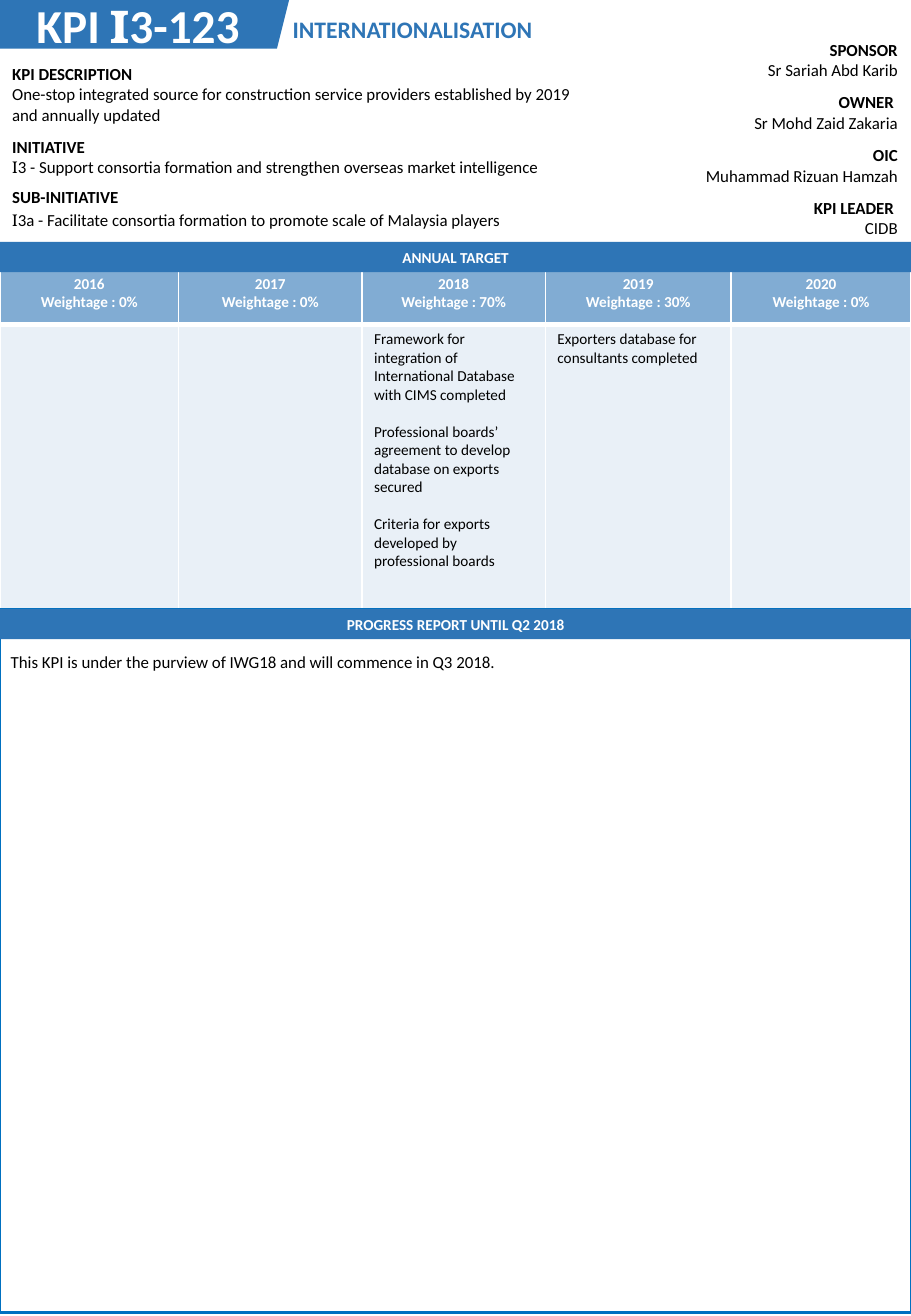
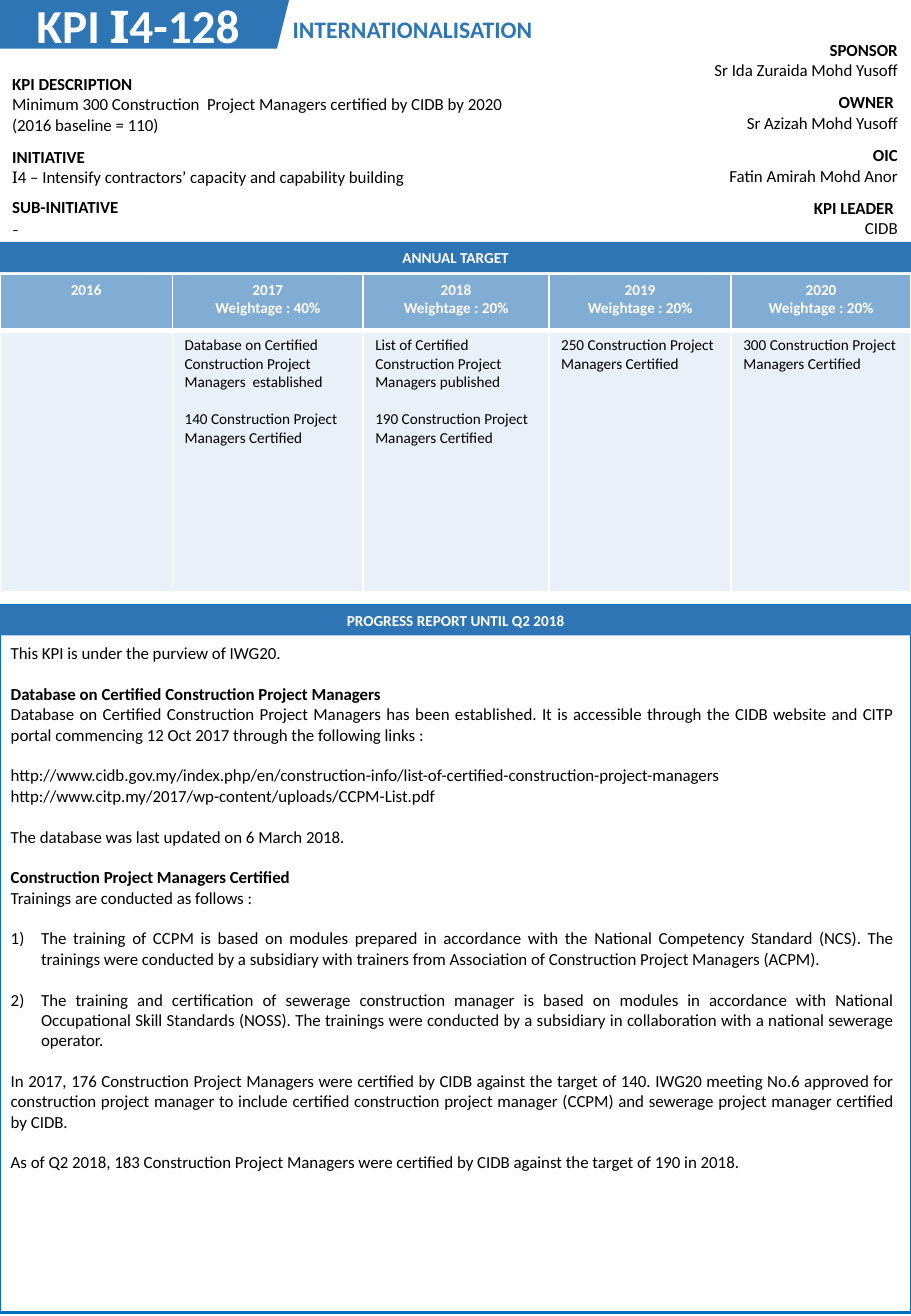
from dataclasses import dataclass
from typing import Any, NamedTuple, Optional

from lxml import etree
from pptx import Presentation, util as u
from pptx.dml import color
from pptx.enum import shapes, text
from pptx.oxml import ns

BLUE, FRAME_BLUE, WHITE, BLACK = "2E75B6", "0070C0", "FFFFFF", "000000"
BODY_FONT, NUMERAL_FONT = "Calibri", "TeX Gyre Bonum"
PAGE_WIDTH, PAGE_HEIGHT, FRAME_BOTTOM = 7.5, 10.83, 10.8
BAND_HEIGHT, ANNUAL_TOP = 0.25, 1.99
LEFT, CENTER = text.PP_ALIGN.LEFT, text.PP_ALIGN.CENTER
RIGHT, JUSTIFY = text.PP_ALIGN.RIGHT, text.PP_ALIGN.JUSTIFY


class Box(NamedTuple):
    left: float
    top: float
    width: float
    height: float

    def lengths(self) -> list[u.Length]:
        return [u.Inches(value) for value in self]


class Run(NamedTuple):
    text: str
    font: str = BODY_FONT


class Style(NamedTuple):
    size: float
    color: str = BLACK
    bold: bool = False
    align: Any = LEFT


@dataclass
class Line:
    """One paragraph; gap asks for an empty line's height above it."""
    runs: list[Run]
    bold: Optional[bool] = None
    gap: bool = False
    numbered: bool = False
    spacing: Optional[float] = None


@dataclass
class Year:
    label: str
    weightage: str
    targets: list[str]
    width: float


@dataclass
class Kpi:
    number: str
    people: list[str]
    description: str
    initiative: Line
    sub_initiative: Line
    details_top: float
    details_width: float
    years: list[Year]
    targets_top: float
    target_height: float
    progress_top: float
    report_top: float
    report: list[Line]


TITLE = Style(28, WHITE, True)
THEME = Style(14, BLUE, True)
BAND = Style(9, WHITE, True, CENTER)
TARGET = Style(9)
DETAIL = Style(10)
PERSON = Style(10, align=RIGHT)
REPORT = Style(10, align=JUSTIFY)
ROLES = ["SPONSOR", "OWNER ", "OIC", "KPI LEADER "]


def rgb(value: str) -> color.RGBColor:
    return color.RGBColor.from_string(value)


def line(words: str, **options: Any) -> Line:
    return Line([Run(words)], **options)


def numeral_line(words: str, **options: Any) -> Line:
    """Set the first letter in the numeral font."""
    return Line([Run(words[0], NUMERAL_FONT), Run(words[1:])], **options)


def number_paragraph(paragraph: Any) -> None:
    properties = paragraph._p.get_or_add_pPr()
    for name, inches in {"marL": 0.25, "indent": -0.25}.items():
        properties.set(name, str(u.Inches(inches)))
    etree.SubElement(properties, ns.qn("a:buFont"), typeface="+mj-lt")
    etree.SubElement(properties, ns.qn("a:buAutoNum"), type="arabicParenR")


def write(frame: Any, lines: list[Line], style: Style) -> None:
    frame.word_wrap = True
    for index, item in enumerate(lines):
        paragraph = frame.paragraphs[0] if index == 0 else frame.add_paragraph()
        if item.numbered:
            number_paragraph(paragraph)
        paragraph.alignment = style.align
        if item.gap:
            paragraph.space_before = u.Pt(round(style.size * 1.22, 1))
        if item.spacing:
            paragraph.line_spacing = item.spacing
        for part in item.runs:
            run = paragraph.add_run()
            run.text = part.text
            formats = {
                "name": part.font,
                "size": u.Pt(style.size),
                "bold": style.bold if item.bold is None else item.bold,
            }
            for name, value in formats.items():
                setattr(run.font, name, value)
            run.font.color.rgb = rgb(style.color)


def add_text(slide: Any, box: Box, lines: list[Line], style: Style) -> None:
    write(slide.shapes.add_textbox(*box.lengths()).text_frame, lines, style)


def add_block(slide: Any, kind: Any, box: Box, fill: Optional[str] = BLUE,
              outline: Optional[str] = None) -> Any:
    shape = slide.shapes.add_shape(kind, *box.lengths())
    shape.shadow.inherit = False
    if fill:
        shape.fill.solid()
        shape.fill.fore_color.rgb = rgb(fill)
    else:
        shape.fill.background()
    if outline:
        shape.line.color.rgb = rgb(outline)
        shape.line.width = u.Pt(1.5)
    else:
        shape.line.fill.background()
    return shape


def add_band(slide: Any, top: float, label: str) -> None:
    box = Box(0, top, PAGE_WIDTH, BAND_HEIGHT)
    band = add_block(slide, shapes.MSO_SHAPE.RECTANGLE, box)
    band.text_frame.vertical_anchor = text.MSO_ANCHOR.MIDDLE
    write(band.text_frame, [line(label)], BAND)


def add_table(slide: Any, left: float, top: float, widths: list[float],
              heights: list[float]) -> Any:
    box = Box(left, top, sum(widths), sum(heights))
    table = slide.shapes.add_table(len(heights), len(widths), *box.lengths()).table
    table.first_row = table.horz_banding = False
    for column, width in zip(table.columns, widths):
        column.width = u.Inches(width)
    for row, height in zip(table.rows, heights):
        row.height = u.Inches(height)
    for cell in table.iter_cells():
        cell.fill.background()
    return table


def tint_cell(cell: Any, opacity: int, borders: dict[str, float]) -> None:
    """Give a cell white borders (points by side) and a see-through blue fill."""
    properties = cell._tc.get_or_add_tcPr()
    for index, (side, points) in enumerate(borders.items()):
        border = etree.Element(ns.qn(f"a:ln{side}"), w=str(u.Pt(points)))
        fill = etree.SubElement(border, ns.qn("a:solidFill"))
        etree.SubElement(fill, ns.qn("a:srgbClr"), val=WHITE)
        properties.insert(index, border)
    cell.fill.solid()
    cell.fill.fore_color.rgb = rgb(BLUE)
    tint = properties.find(ns.qn("a:solidFill"))[0]
    etree.SubElement(tint, ns.qn("a:alpha"), val=str(opacity * 1000))


def add_targets(slide: Any, kpi: Kpi) -> None:
    table = add_table(slide, 0, kpi.targets_top, [year.width for year in kpi.years],
                      [0.46, kpi.target_height])
    for column, year in enumerate(kpi.years):
        header, body = table.cell(0, column), table.cell(1, column)
        tint_cell(header, 60, {"L": 1, "R": 1, "T": 1, "B": 3})
        tint_cell(body, 10, {"L": 1, "R": 1, "T": 3, "B": 1})
        heading = [line(year.label)]
        if year.weightage:
            heading.append(line(f"Weightage : {year.weightage}"))
        write(header.text_frame, heading, BAND)
        targets = [line(target, gap=index > 0)
                   for index, target in enumerate(year.targets)]
        write(body.text_frame, targets, TARGET)


def add_labelled_rows(slide: Any, box: Box, heights: list[float],
                      rows: list[tuple[str, Line]], style: Style) -> None:
    table = add_table(slide, box.left, box.top, [box.width], heights)
    for index, (label, content) in enumerate(rows):
        write(table.cell(index, 0).text_frame, [line(label, bold=True), content], style)


def add_title(slide: Any, number: str) -> None:
    title = slide.shapes.title
    box = Box(0.2, -0.08, 2.24, 0.57)
    for name, value in zip(box._fields, box.lengths()):
        setattr(title, name, value)
    title.text_frame.auto_size = text.MSO_AUTO_SIZE.NONE
    title.text_frame.vertical_anchor = text.MSO_ANCHOR.TOP
    runs = [Run("KPI "), Run(number[0], NUMERAL_FONT), Run(number[1:])]
    write(title.text_frame, [Line(runs)], TITLE)
    slide.shapes.element.append(title.element)


def add_kpi_slide(presentation: Any, kpi: Kpi) -> None:
    slide = presentation.slides.add_slide(presentation.slide_layouts[5])
    add_block(slide, shapes.MSO_SHAPE.PARALLELOGRAM, Box(-0.16, 0, 2.54, 0.4))
    add_title(slide, kpi.number)
    add_text(slide, Box(2.31, 0.07, 2.29, 0.34), [line("INTERNATIONALISATION")], THEME)
    add_targets(slide, kpi)
    frame = Box(0, kpi.progress_top, PAGE_WIDTH, FRAME_BOTTOM - kpi.progress_top)
    add_block(slide, shapes.MSO_SHAPE.RECTANGLE, frame, None, FRAME_BLUE)
    people = [(role, line(person)) for role, person in zip(ROLES, kpi.people)]
    add_labelled_rows(slide, Box(4.73, 0.28, 2.76, 1.73), [0.43] * 4, people, PERSON)
    details = [
        ("KPI DESCRIPTION", line(kpi.description)),
        ("INITIATIVE", kpi.initiative),
        ("SUB-INITIATIVE", kpi.sub_initiative),
    ]
    add_labelled_rows(slide, Box(0, kpi.details_top, kpi.details_width, 1.45),
                      [0.6, 0.41, 0.43], details, DETAIL)
    add_band(slide, kpi.progress_top, "PROGRESS REPORT UNTIL Q2 2018")
    add_band(slide, ANNUAL_TOP, "ANNUAL TARGET")
    report_box = Box(-0.01, kpi.report_top, 7.46, FRAME_BOTTOM - kpi.report_top)
    add_text(slide, report_box, kpi.report, REPORT)


KPIS = [
    Kpi(
        "I3-123",
        ["Sr Sariah Abd Karib", "Sr Mohd Zaid Zakaria", "Muhammad Rizuan Hamzah", "CIDB"],
        "One-stop integrated source for construction service providers established by 2019 and annually updated",
        numeral_line("I3 - Support consortia formation and strengthen overseas market intelligence", spacing=0.88),
        numeral_line("I3a - Facilitate consortia formation to promote scale of Malaysia players"),
        0.48, 4.85,
        [
            Year("2016", "0%", [], 1.47),
            Year("2017", "0%", [], 1.51),
            Year("2018", "70%", [
                "Framework for integration of International Database with CIMS completed",
                "Professional boards’ agreement to develop database on exports secured",
                "Criteria for exports developed by professional boards"], 1.51),
            Year("2019", "30%", ["Exporters database for consultants completed"], 1.53),
            Year("2020", "0%", [], 1.48),
        ],
        2.21, 2.35, 5.01, 5.31,
        [line("This KPI is under the purview of IWG18 and will commence in Q3 2018.")],
    ),
    Kpi(
        "I4-128",
        ["Sr Ida Zuraida Mohd Yusoff", "Sr Azizah Mohd Yusoff", "Fatin Amirah Mohd Anor", "CIDB"],
        "Minimum 300 Construction  Project Managers certified by CIDB by 2020 (2016 baseline = 110)",
        numeral_line("I4 – Intensify contractors’ capacity and capability building", spacing=0.88),
        Line([Run("-", NUMERAL_FONT)]),
        0.56, 4.57,
        [
            Year("2016", "", [], 1.42),
            Year("2017", "40%", [
                "Database on Certified Construction Project Managers  established",
                "140 Construction Project Managers Certified"], 1.57),
            Year("2018", "20%", [
                "List of Certified Construction Project Managers published",
                "190 Construction Project Managers Certified"], 1.53),
            Year("2019", "20%", ["250 Construction Project Managers Certified"], 1.5),
            Year("2020", "20%", ["300 Construction Project Managers Certified"], 1.48),
        ],
        2.26, 2.15, 4.98, 5.24,
        [
            line("This KPI is under the purview of IWG20."),
            line("Database on Certified Construction Project Managers", bold=True, gap=True),
            line("Database on Certified Construction Project Managers has been established. It is accessible through the CIDB website and CITP portal commencing 12 Oct 2017 through the following links :"),
            line("http://www.cidb.gov.my/index.php/en/construction-info/list-of-certified-construction-project-managers", gap=True),
            line("http://www.citp.my/2017/wp-content/uploads/CCPM-List.pdf"),
            line("The database was last updated on 6 March 2018.", gap=True),
            line("Construction Project Managers Certified", bold=True, gap=True),
            line("Trainings are conducted as follows :"),
            line("The training of CCPM is based on modules prepared in accordance with the National Competency Standard (NCS). The trainings were conducted by a subsidiary with trainers from Association of Construction Project Managers (ACPM).", gap=True, numbered=True),
            line("The training and certification of sewerage construction manager is based on modules in accordance with National Occupational Skill Standards (NOSS). The trainings were conducted by a subsidiary in collaboration with a national sewerage operator.", gap=True, numbered=True),
            line("In 2017, 176 Construction Project Managers were certified by CIDB against the target of 140. IWG20 meeting No.6 approved for construction project manager to include certified construction project manager (CCPM) and sewerage project manager certified by CIDB.", gap=True),
            line("As of Q2 2018, 183 Construction Project Managers were certified by CIDB against the target of 190 in 2018.", gap=True),
        ],
    ),
]


def main() -> None:
    presentation = Presentation()
    presentation.slide_width = u.Inches(PAGE_WIDTH)
    presentation.slide_height = u.Inches(PAGE_HEIGHT)
    for kpi in KPIS:
        add_kpi_slide(presentation, kpi)
    presentation.save("out.pptx")


if __name__ == "__main__":
    main()
